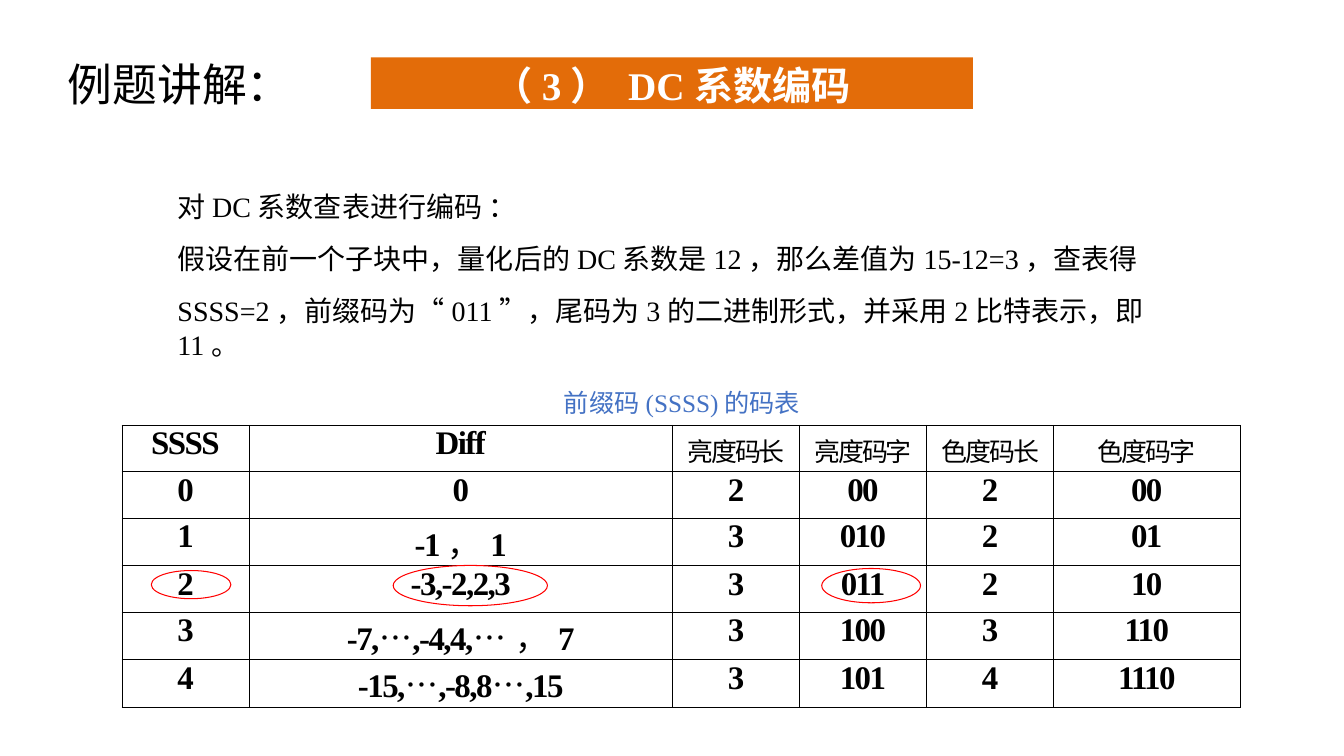
from itertools import groupby

from pptx import Presentation
from pptx.dml.color import RGBColor
from pptx.enum.shapes import MSO_SHAPE
from pptx.enum.text import MSO_ANCHOR, MSO_AUTO_SIZE, PP_ALIGN
from pptx.oxml import parse_xml
from pptx.oxml.ns import nsdecls
from pptx.util import Inches, Pt

TITLE = "例题讲解："
BANNER = "（3） DC系数编码"
EXPLANATION = [
    "对DC系数查表进行编码 ：",
    "假设在前一个子块中，量化后的DC系数是12，那么差值为15-12=3，查表得",
    "SSSS=2，前缀码为“011”，尾码为3的二进制形式，并采用2比特表示，即11。",
]
CAPTION = "前缀码(SSSS)的码表"
CODE_TABLE = [
    ["SSSS", "Diff", "亮度码长", "亮度码字", "色度码长", "色度码字"],
    ["0", "0", "2", "00", "2", "00"],
    ["1", "-1，1", "3", "010", "2", "01"],
    ["2", "-3,-2,2,3", "3", "011", "2", "10"],
    ["3", "-7,…,-4,4,…，7", "3", "100", "3", "110"],
    ["4", "-15,…,-8,8…,15", "3", "101", "4", "1110"],
]
COLUMN_WIDTHS = [1.26, 4.2, 1.26, 1.26, 1.26, 1.85]
ROW_HEIGHT = 0.46
# left, top, width, height of the rings around the looked-up entry
RINGS = [(3.9, 5.61, 1.53, 0.4), (1.5, 5.66, 0.79, 0.28), (8.15, 5.64, 0.98, 0.34)]

COLORS = {"text": "000000", "banner": "E36C09", "light": "FFFFFF",
          "caption": "4472C4", "ring": "FF0000", "border": "000000"}
LATIN, CHINESE, TITLE_FONT = "Times New Roman", "Noto Sans CJK SC", "TeX Gyre Bonum"


def color(name):
    return RGBColor.from_string(COLORS[name])


def is_latin(char):
    return "!" <= char <= "~"


def write(para, text, size, fill="text", bold=False, chinese_bold=False,
          align=PP_ALIGN.LEFT, before=0, spacing=0, font=None):
    """Fill a paragraph, giving Latin and Chinese stretches their own font."""
    para.alignment = align
    para.space_before = Pt(before)
    for latin, chars in groupby(text, is_latin):
        span = para.add_run()
        span.text = "".join(chars)
        name = font or (LATIN if latin else CHINESE)
        span.font.size = Pt(size)
        span.font.bold = bold if latin else chinese_bold
        span.font.color.rgb = color(fill)
        span.font.name = name
        properties = span.font._element
        properties.append(parse_xml(f'<a:ea {nsdecls("a")} typeface="{name}"/>'))
        if spacing:
            properties.set("spc", str(round(spacing * 100)))


def place(shape, left, top, width, height):
    shape.left, shape.top = Inches(left), Inches(top)
    shape.width, shape.height = Inches(width), Inches(height)
    frame = shape.text_frame
    frame.word_wrap = True
    frame.auto_size = MSO_AUTO_SIZE.NONE
    frame.vertical_anchor = MSO_ANCHOR.TOP
    return frame


def add_banner(page):
    banner = page.shapes.add_shape(
        MSO_SHAPE.RECTANGLE, Inches(3.68), Inches(0.57), Inches(5.97), Inches(0.51))
    banner.shadow.inherit = False
    banner.fill.solid()
    banner.fill.fore_color.rgb = color("banner")
    banner.line.fill.background()
    frame = banner.text_frame
    frame.margin_left = frame.margin_right = frame.margin_bottom = 0
    frame.margin_top = Inches(0.04)
    frame.vertical_anchor = MSO_ANCHOR.MIDDLE
    write(frame.paragraphs[0], BANNER, 28, fill="light", bold=True,
          chinese_bold=True, align=PP_ALIGN.CENTER)


def add_explanation(page):
    frame = place(page.placeholders[1], 1.65, 1.83, 10.22, 2.04)
    for index, text in enumerate(EXPLANATION + [CAPTION]):
        para = frame.paragraphs[0] if index == 0 else frame.add_paragraph()
        properties = para._p.get_or_add_pPr()
        properties.set("marL", str(Inches(0.01)))
        properties.set("indent", "0")
        properties.append(parse_xml(f'<a:buNone {nsdecls("a")}/>'))
        if text == CAPTION:
            write(para, text, 18, fill="caption", align=PP_ALIGN.CENTER, before=18.6)
        else:
            write(para, text, 20, before=13.2 if index else 0)


def outline_cell(cell):
    properties = cell._tc.get_or_add_tcPr()
    for index, side in enumerate(("lnL", "lnR", "lnT", "lnB")):
        properties.insert(index, parse_xml(
            f'<a:{side} {nsdecls("a")} w="{Pt(0.75)}"><a:solidFill>'
            f'<a:srgbClr val="{COLORS["border"]}"/></a:solidFill></a:{side}>'))


def add_code_table(page):
    rows = len(CODE_TABLE)
    table = page.shapes.add_table(
        rows, len(COLUMN_WIDTHS), Inches(1.21), Inches(4.22),
        Inches(sum(COLUMN_WIDTHS)), Inches(ROW_HEIGHT * rows)).table
    table.horz_banding = False
    for column, width in zip(table.columns, COLUMN_WIDTHS):
        column.width = Inches(width)
    for row, texts in zip(table.rows, CODE_TABLE):
        row.height = Inches(ROW_HEIGHT)
        for cell, text in zip(row.cells, texts):
            chinese_label = not any(map(is_latin, text))
            cell.margin_left = cell.margin_right = cell.margin_bottom = 0
            cell.margin_top = Inches(0.06 if chinese_label else 0)
            cell.fill.background()
            outline_cell(cell)
            spacing = -1.4 if chinese_label else -1.1 if len(text) > 1 else 0
            write(cell.text_frame.paragraphs[0], text, 18.5 if chinese_label else 23.5,
                  bold=True, align=PP_ALIGN.CENTER, spacing=spacing)


def add_rings(page):
    for bounds in RINGS:
        ring = page.shapes.add_shape(MSO_SHAPE.OVAL, *map(Inches, bounds))
        ring.shadow.inherit = False
        ring.fill.background()
        ring.line.color.rgb = color("ring")
        ring.line.width = Pt(0.75)


def main():
    deck = Presentation()
    deck.slide_width, deck.slide_height = Inches(13.33), Inches(7.5)
    page = deck.slides.add_slide(deck.slide_layouts[1])
    title = place(page.shapes.title, 0.57, 0.51, 4.12, 0.64)
    write(title.paragraphs[0], TITLE, 32, font=TITLE_FONT)
    add_banner(page)
    add_code_table(page)
    add_rings(page)
    add_explanation(page)
    deck.save("out.pptx")


if __name__ == "__main__":
    main()
